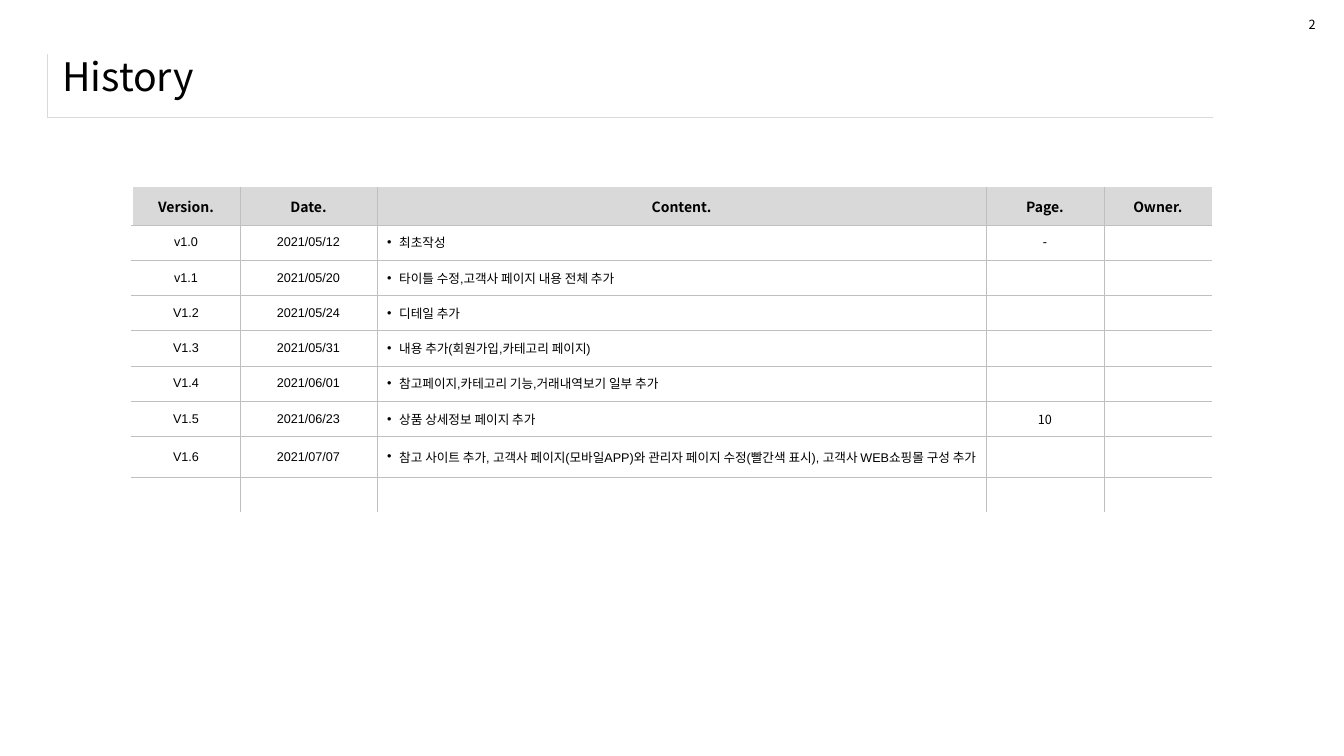
from lxml.etree import SubElement
from pptx import Presentation
from pptx.dml.color import RGBColor
from pptx.enum.text import MSO_ANCHOR as ANCHOR, PP_ALIGN as ALIGN
from pptx.oxml.ns import qn
from pptx.util import Inches, Pt

SANS, ARIAL = "Noto Sans CJK KR", "Arial"
GRAY, WHITE = ("BFBFBF", 0.25), ("FFFFFF", 1)
NO_GRID = "{2D5ABB26-0587-4C30-8999-92F81FD0307C}"

HEADS = ["Version.", "Date.", "Content.", "Page.", "Owner."]
HISTORY = [
    ("v1.0", "2021/05/12", "최초작성", "-"),
    ("v1.1", "2021/05/20", "타이틀 수정,고객사 페이지 내용 전체 추가", ""),
    ("V1.2", "2021/05/24", "디테일 추가", ""),
    ("V1.3", "2021/05/31", "내용 추가(회원가입,카테고리 페이지)", ""),
    ("V1.4", "2021/06/01", "참고페이지,카테고리 기능,거래내역보기 일부 추가", ""),
    ("V1.5", "2021/06/23", "상품 상세정보 페이지 추가", "10"),
    ("V1.6", "2021/07/07", "참고 사이트 추가, 고객사 페이지(모바일APP)와 관리자 페이지 수정"
     "(빨간색 표시), 고객사 WEB쇼핑몰 구성 추가", ""),
    ("", "", "", ""),
]
COL_WIDTHS = [1.07, 1.36, 6.04, 1.17, 1.07]
ROW_HEIGHTS = [0.37] + [0.35] * len(HISTORY)
CONTENT = HEADS.index("Content.")


def rgb(color):
    return RGBColor.from_string(color)


class Deck:
    def __init__(self, prs):
        self.slide = prs.slides.add_slide(prs.slide_layouts[6])

    def style_text(self, p, text, size, font=SANS, bold=False, align=ALIGN.LEFT):
        p.text, p.alignment = text, align
        p.font.size, p.font.bold, p.font.name = Pt(size), bold, font
        p.font.color.rgb = rgb("000000")
        SubElement(p.font._element, qn("a:ea")).set("typeface", SANS)
        if not text:
            # an empty paragraph takes its height from its end mark
            SubElement(p._p, qn("a:endParaRPr")).set("sz", str(size * 100))

    def text(self, box, text, size, wrap=True, anchor=ANCHOR.TOP):
        tf = self.slide.shapes.add_textbox(*map(Inches, box)).text_frame
        tf.word_wrap, tf.vertical_anchor = wrap, anchor
        self.style_text(tf.paragraphs[0], text, size)

    def table(self, left, top, widths, heights):
        """Add a table without any style and return it."""
        box = map(Inches, (left, top, sum(widths), sum(heights)))
        frame = self.slide.shapes.add_table(len(heights), len(widths), *box)
        table = frame.table
        table.first_row = table.horz_banding = False
        table._tbl.tblPr.find(qn("a:tableStyleId")).text = NO_GRID
        for col, width in zip(table.columns, widths):
            col.width = Inches(width)
        for row, height in zip(table.rows, heights):
            row.height = Inches(height)
        return table

    def cell(self, cell, text, size, fill=None, borders=None, **style):
        """Fill a cell; borders maps L, R, T, B to (colour, points)."""
        cell.vertical_anchor = ANCHOR.MIDDLE
        self.style_text(cell.text_frame.paragraphs[0], text, size, **style)
        tcPr = cell._tc.get_or_add_tcPr()
        for side in "LRTB":
            if side in borders:
                color, width = borders[side]
                ln = SubElement(tcPr, qn("a:ln" + side), w=str(Pt(width)))
                line = SubElement(ln, qn("a:solidFill"))
                SubElement(line, qn("a:srgbClr"), val=color)
        if fill:
            cell.fill.solid()
            cell.fill.fore_color.rgb = rgb(fill)
        else:
            cell.fill.background()

    def bullet(self, p, indent=0.12):
        pPr = p._p.get_or_add_pPr()
        pPr.set("marL", str(Inches(indent)))
        pPr.set("indent", str(-Inches(indent)))
        bullet = pPr.makeelement(qn("a:buChar"), {"char": "•"})
        font = pPr.makeelement(qn("a:buFont"), {"typeface": ARIAL})
        pPr.insert(0, bullet)
        pPr.insert(0, font)


def add_history(deck):
    table = deck.table(1.31, 1.86, COL_WIDTHS, ROW_HEIGHTS)
    last_row, last_col = len(HISTORY), len(HEADS) - 1
    for r, values in enumerate([HEADS] + [(*row, "") for row in HISTORY]):
        for c, value in enumerate(values):
            borders = {"L": GRAY if c else WHITE,
                       "B": GRAY if r < last_row else WHITE}
            if c < last_col:
                borders["R"] = GRAY
            if r:
                borders["T"] = GRAY
            cell = table.cell(r, c)
            is_content = r > 0 and c == CONTENT
            align = ALIGN.LEFT if is_content else ALIGN.CENTER
            if r == 0:
                deck.cell(cell, value, 10, "D9D9D9", borders, bold=True, align=align)
            else:
                font = SANS if value == "10" else ARIAL
                deck.cell(cell, value, 9, None, borders, font=font, align=align)
            if is_content and value:
                deck.bullet(cell.text_frame.paragraphs[0])


def main():
    prs = Presentation()
    prs.slide_width, prs.slide_height = Inches(13.33), Inches(7.5)
    deck = Deck(prs)
    title_line = ("D9D9D9", 0.25)
    title_frame = deck.table(0.47, 0.54, [11.56], [0.62])
    deck.cell(title_frame.cell(0, 0), "", 18,
              borders={"L": title_line, "B": title_line})
    deck.text((0.52, 0.44, 12.49, 0.63), "History", 28, anchor=ANCHOR.MIDDLE)
    add_history(deck)
    deck.text((12.88, 0.12, 0.27, 0.25), "2", 9, wrap=False)
    prs.save("out.pptx")


if __name__ == "__main__":
    main()
